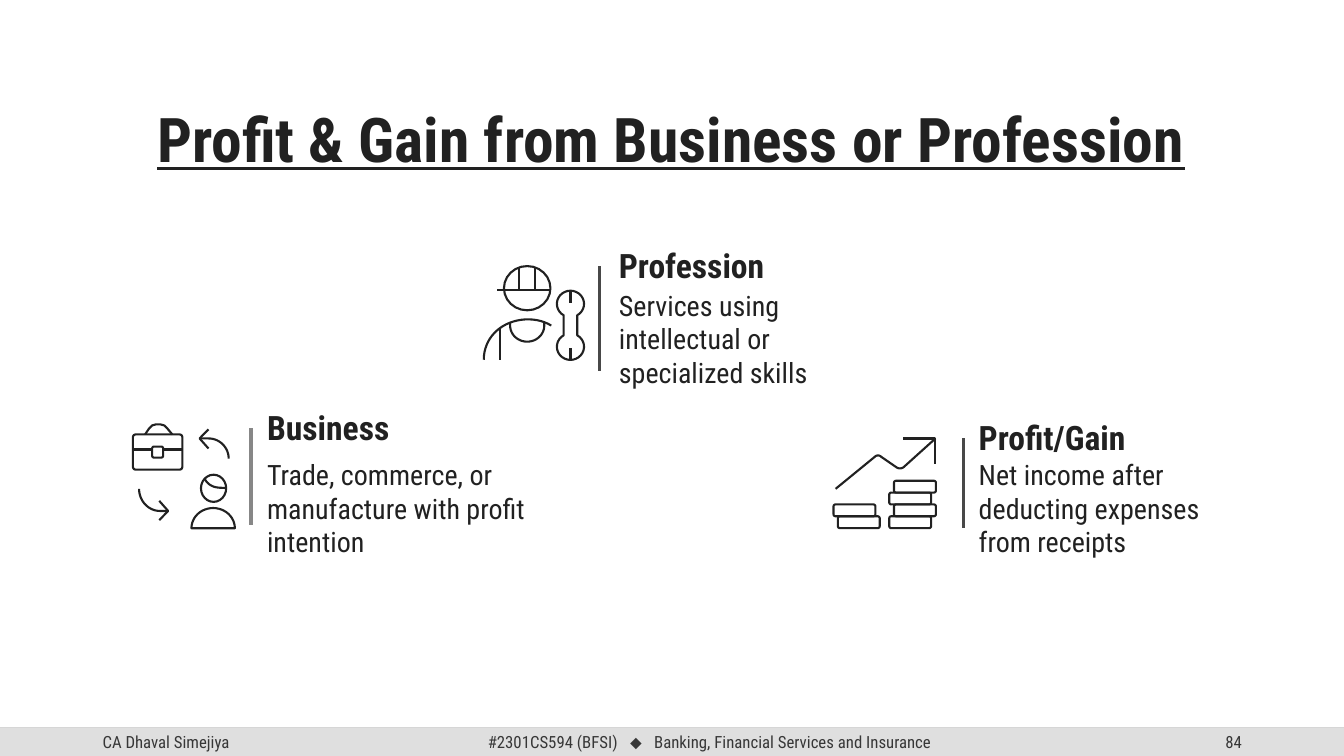
from dataclasses import dataclass
from math import cos, radians, sin

from lxml.etree import SubElement
from pptx import Presentation
from pptx.dml.color import RGBColor
from pptx.enum.shapes import MSO_CONNECTOR as Connector, MSO_SHAPE as Shape
from pptx.enum.text import MSO_ANCHOR as Anchor, MSO_AUTO_SIZE as AutoSize, PP_ALIGN as Align
from pptx.oxml.ns import qn
from pptx.util import Pt


@dataclass(frozen=True)
class Theme:
    font: str = "Roboto Condensed"
    symbol_font: str = "Arial"
    ink: str = "212121"
    footer_ink: str = "373737"
    footer_fill: str = "DFDFDF"
    footer_rule: str = "BFBFBF"
    light_rule: str = "878787"
    dark_rule: str = "484848"
    title: int = 44
    heading: int = 24
    body: int = 20
    small: int = 12


THEME = Theme()
WIDTH, HEIGHT, FOOTER_TOP = 960, 540, 519.8


# Outline pieces: each returns a list of points
def arc(x, y, rx, ry, start=0, end=360, steps=24):
    angles = [radians(start + (end - start) * i / steps) for i in range(steps + 1)]
    return [(x + rx * cos(a), y + ry * sin(a)) for a in angles]


def curve(a, b, c, d, steps=12):
    points = []
    for i in range(steps + 1):
        t = i / steps
        weights = ((1 - t) ** 3, 3 * t * (1 - t) ** 2, 3 * t * t * (1 - t), t ** 3)
        points.append(tuple(sum(w * p[k] for w, p in zip(weights, (a, b, c, d)))
                            for k in (0, 1)))
    return points


def round_box(x, y, width, height, r):
    right, bottom = x + width - r, y + height - r
    corners = [(right, y + r, -90), (right, bottom, 0), (x + r, bottom, 90), (x + r, y + r, 180)]
    points = [p for cx, cy, a in corners for p in arc(cx, cy, r, r, a, a + 90, 4)]
    return points + points[:1]


# Icons
def business_icon():
    return [
        arc(152.6, 348.8, 9, 9.7),
        arc(152.3, 377.3, 15.5, 14.4, 180, 360) + [(136.8, 377.3)],
        curve((146.2, 342), (149.8, 348.5), (155.5, 348.5), (161.3, 348.5)),
        round_box(95, 310.3, 35.3, 25.2, 2),
        [(103.7, 310.3), (106.6, 306), (108.7, 303.9), (111.6, 303.1),
         (114.5, 303.1), (117.4, 303.9), (119.5, 306), (123.1, 310.3)],
        [(95, 321.1), (108.7, 321.1)],
        [(116.6, 321.1), (130.3, 321.1)],
        round_box(108.7, 319, 7.9, 7.9, 1.4),
        [(142.6, 313.2)] + arc(149, 327.6, 14.4, 14.4, -90, 0),
        [(149, 306.7), (142.6, 313.2), (149, 320.4)],
        [(120.2, 365)] + arc(114.5, 349.2, 15.1, 15.8, 90, 180),
        [(113.8, 371.5), (120.2, 365), (113.8, 357.8)],
    ]


def profession_icon():
    wrench = arc(407.5, 217.1, 9.7, 9.4, 120, 420) + arc(407.5, 247.7, 9.7, 9.4, -60, 240)
    return [
        arc(376.6, 205.9, 16.6, 15.8),
        curve((345.6, 257), (345.6, 246.2), (351.4, 236.9), (361.4, 231.8))
        + curve((361.4, 231.8), (371.5, 226.8), (384.5, 226.8), (393.8, 232.6)),
        [(364.3, 230.4)] + arc(376.6, 232.6, 12.2, 11.5, 180, 0) + [(388.8, 230.4)],
        [(357.1, 234), (357.1, 257)],
        [(370.8, 190.8), (370.8, 207.4)],
        [(382.3, 190.8), (382.3, 207.4)],
        [(393.1, 207.4), (355, 207.4)],
        wrench + wrench[:1],
        [(407.5, 257), (407.5, 248.4)],
        [(407.5, 208.1), (407.5, 216.7)],
    ]


def profit_icon():
    coins = [(638.6, 0), (635.2, 1), (638.6, 2), (635.2, 3), (595.4, 2), (598.5, 3)]
    trend = ([(596.9, 349.2)]
             + curve((625, 326.2), (625.7, 325.4), (627.8, 324.7), (629.3, 326.2))
             + curve((640.8, 334.1), (642.2, 334.8), (644.4, 334.8), (645.8, 333.4))
             + [(668.2, 313.2)])
    return [round_box(x, 343.4 + 8.46 * row, 29.9, 8.46, 1.4) for x, row in coins] + [
        trend, [(645.1, 313.2), (668.2, 313.2), (668.2, 331.2)]]


# Elements
def color(code):
    return RGBColor.from_string(code)


def add_icon(page, outlines):
    outlines = [[(Pt(x), Pt(y)) for x, y in outline] for outline in outlines]
    builder = page.shapes.build_freeform(*outlines[0][0])
    for number, (first, *rest) in enumerate(outlines):
        if number:
            builder.move_to(*first)
        builder.add_line_segments(rest, close=False)
    icon = builder.convert_to_shape()
    icon.shadow.inherit = False
    icon.fill.background()
    icon.line.color.rgb = color(THEME.ink)
    icon.line.width = Pt(1.5)


def add_rule(page, x1, y1, x2, y2, code, width, opacity=None):
    rule = page.shapes.add_connector(Connector.STRAIGHT, Pt(x1), Pt(y1), Pt(x2), Pt(y2))
    rule.line.color.rgb = color(code)
    rule.line.width = Pt(width)
    properties = rule._element.spPr
    if opacity:
        fill_color = properties.find(".//" + qn("a:srgbClr"))
        SubElement(fill_color, qn("a:alpha")).set("val", str(opacity * 1000))
    SubElement(properties, qn("a:effectLst"))


def add_text(page, x, y, width, height, align=Align.LEFT, anchor=Anchor.TOP, inset=True, wrap=True):
    box = page.shapes.add_textbox(Pt(x), Pt(y), Pt(width), Pt(height))
    frame = box.text_frame
    frame.word_wrap = wrap
    frame.vertical_anchor = anchor
    if not inset:
        frame.margin_left = frame.margin_right = frame.margin_top = frame.margin_bottom = 0
        frame.auto_size = AutoSize.SHAPE_TO_FIT_TEXT
    para = frame.paragraphs[0]
    para.alignment = align
    return para


def add_span(para, text, size, code=THEME.ink, bold=False, font=THEME.font):
    span = para.add_run()
    span.text = text
    span.font.name = font
    span.font.size = Pt(size)
    span.font.bold = bold
    span.font.color.rgb = color(code)
    return span


def add_term(page, x, heading_top, body_top, width, heading, body):
    para = add_text(page, x, heading_top, 108, 29, inset=False, wrap=False)
    add_span(para, heading, THEME.heading, bold=True)
    para = add_text(page, x, body_top, width, 72.7, inset=False)
    add_span(para, body, THEME.body)


def add_footer(page):
    add_rule(page, 0, FOOTER_TOP, WIDTH, FOOTER_TOP, THEME.footer_rule, 1, opacity=70)
    band = page.shapes.add_shape(Shape.ROUNDED_RECTANGLE, 0, Pt(FOOTER_TOP),
                                 Pt(WIDTH), Pt(HEIGHT - FOOTER_TOP))
    band.adjustments[0] = 0
    band.shadow.inherit = False
    band.fill.solid()
    band.fill.fore_color.rgb = color(THEME.footer_fill)
    band.line.fill.background()

    gap, diamond = " ", "⬥"
    cells = [
        (678.2, 216, Align.RIGHT, ["84"]),
        (318.2, 377.3, Align.CENTER, ["#2301CS594 (BFSI)", gap, diamond, gap,
                                      "Banking, Financial Services and Insurance"]),
        (66.2, 216, Align.LEFT, ["CA Dhaval Simejiya"]),
    ]
    for x, width, align, texts in cells:
        para = add_text(page, x, FOOTER_TOP, width, 20.2, align, Anchor.MIDDLE)
        for text in texts:
            font = THEME.symbol_font if text == diamond else THEME.font
            span = add_span(para, text, THEME.small, THEME.footer_ink, font=font)
            if text == gap:  # widen the single space beside the diamond
                span.font._element.set("spc", "600")


def main():
    deck = Presentation()
    deck.slide_width, deck.slide_height = Pt(WIDTH), Pt(HEIGHT)
    page = deck.slides.add_slide(deck.slide_layouts[6])

    add_footer(page)

    # Title
    para = add_text(page, 74.2, 43.2, 810.7, 116.6, Align.CENTER, Anchor.MIDDLE)
    para.line_spacing = 0.9
    add_span(para, "Profit & Gain from Business or Profession", THEME.title, bold=True).font.underline = True

    # Dividers
    add_rule(page, 179.3, 306, 179.3, 375.1, THEME.light_rule, 2.25)
    add_rule(page, 428.4, 190.1, 428.4, 265, THEME.dark_rule, 2.25)
    add_rule(page, 688.3, 313.2, 688.3, 377.3, THEME.dark_rule, 2.25)

    # Terms
    add_term(page, 190.8, 290.9, 326.9, 227.5, "Business",
             "Trade, commerce, or manufacture with profit intention")
    add_term(page, 442.1, 175, 205.9, 190.8, "Profession",
             "Services using intellectual or specialized skills")
    add_term(page, 699.1, 298.1, 326.9, 180, "Profit/Gain",
             "Net income after deducting expenses from receipts")

    # Icons
    for outlines in (business_icon(), profession_icon(), profit_icon()):
        add_icon(page, outlines)

    deck.save("out.pptx")


if __name__ == "__main__":
    main()
